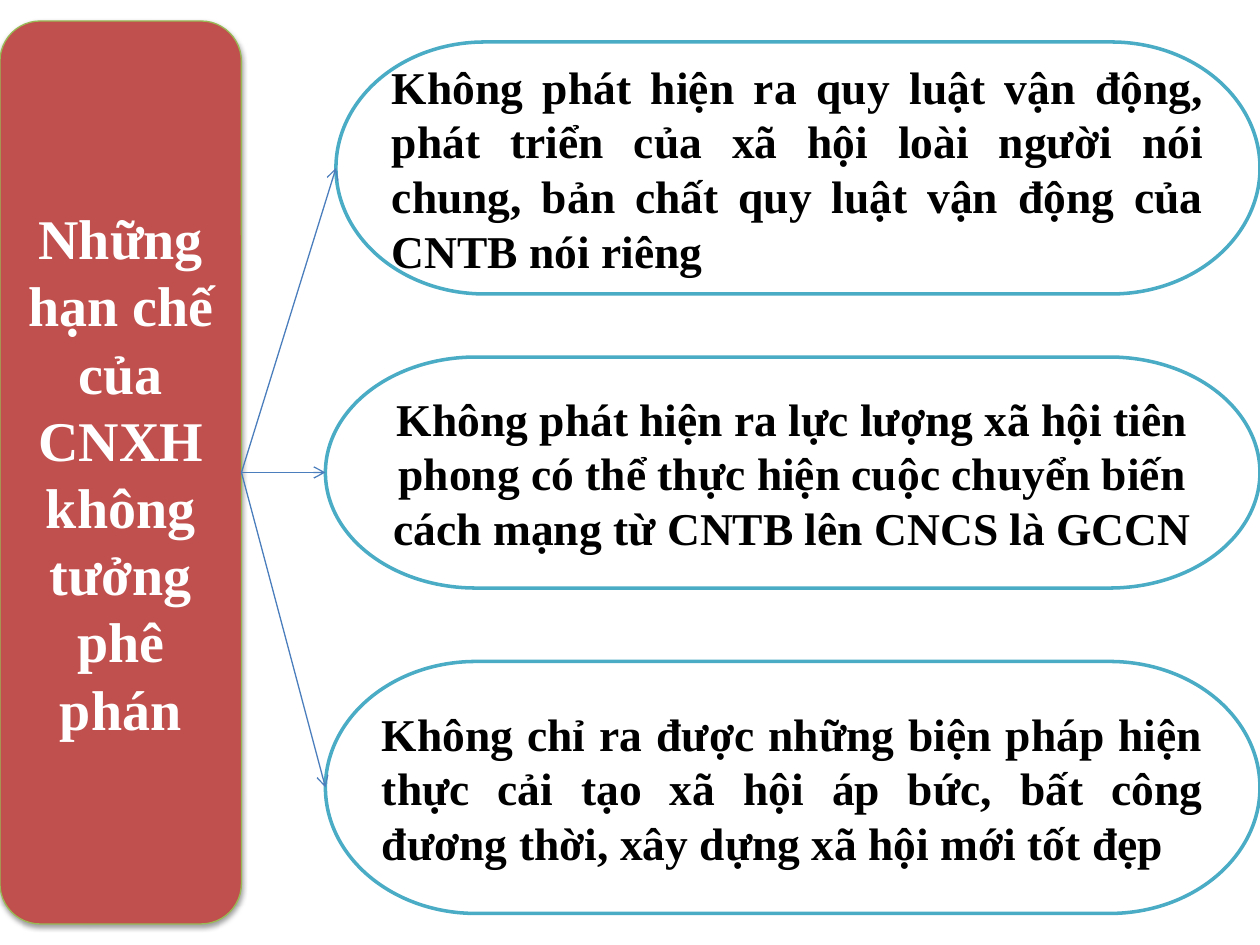
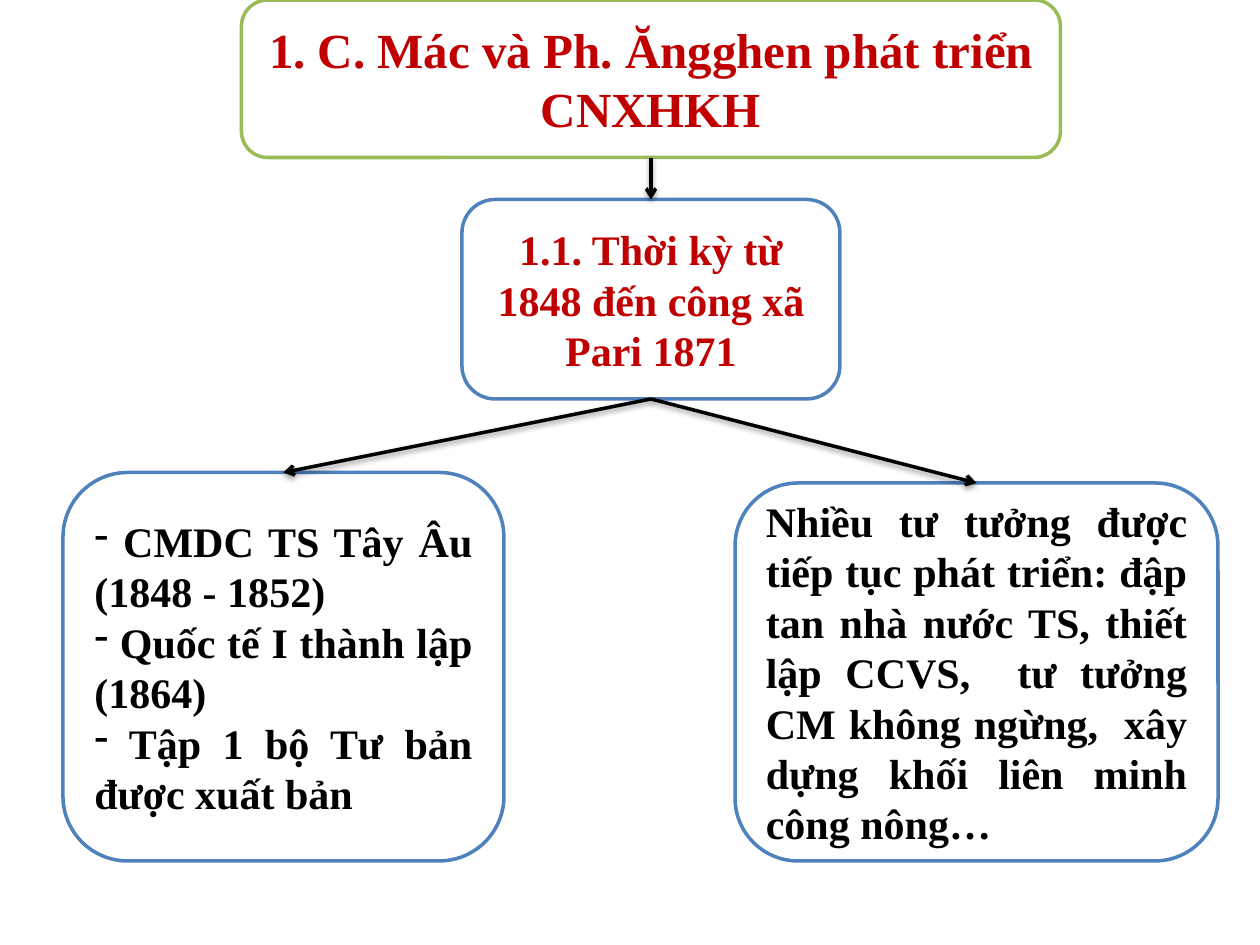
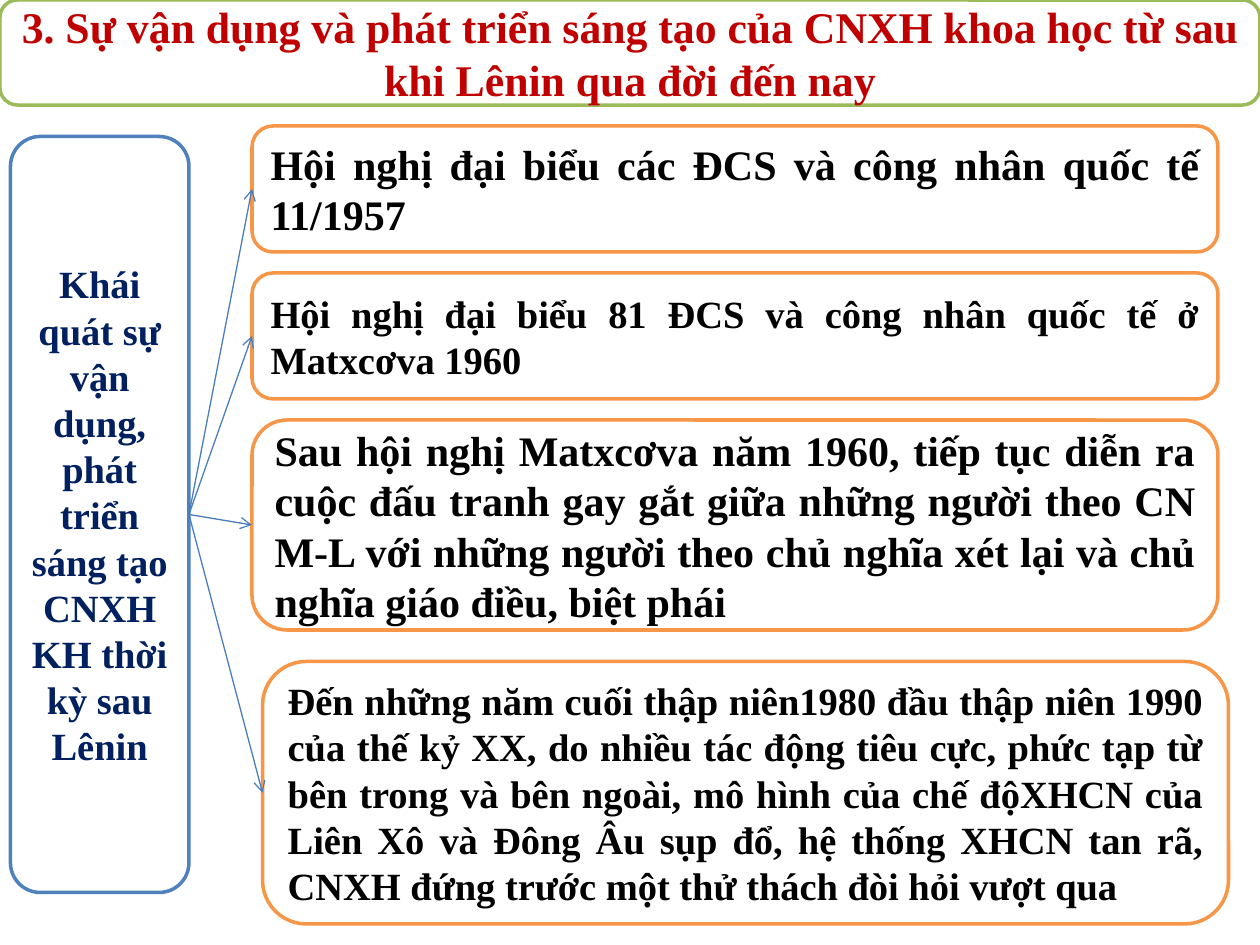
from dataclasses import dataclass
from lxml.etree import SubElement
from pptx import Presentation
from pptx.dml.color import RGBColor
from pptx.enum.shapes import MSO_CONNECTOR, MSO_SHAPE
from pptx.enum.text import MSO_ANCHOR, PP_ALIGN
from pptx.oxml.ns import qn
from pptx.util import Cm, Pt


@dataclass(frozen=True)
class Theme:
    font: str = "Times New Roman"
    white: str = "FFFFFF"
    black: str = "000000"
    brick: str = "C0504D"
    red: str = "C00000"
    navy: str = "002060"
    moss: str = "98B955"
    green: str = "9BBB59"
    blue: str = "4F81BD"
    steel: str = "4B7EBC"
    teal: str = "4BACC6"
    amber: str = "F79646"
    huge: int = 32
    title: int = 28
    large: int = 26
    head: int = 25
    body: int = 24
    small: int = 22
    thick: float = 2
    thin: float = 0.75


look = Theme()
grid = 25.4 / 120
top, left, base, right = range(4)
mid, full = PP_ALIGN.CENTER, PP_ALIGN.JUSTIFY
round_box, pill = MSO_SHAPE.ROUNDED_RECTANGLE, MSO_SHAPE.FLOWCHART_TERMINATOR


def add_box(page, spot, words, size, edge, ink=look.black, align=full,
            kind=round_box, fill=look.white, width=look.thick):
    box = page.shapes.add_shape(kind, *[Cm(n * grid) for n in spot])
    box.shadow.inherit = False
    box.fill.solid()
    box.fill.fore_color.rgb = RGBColor.from_string(fill)
    box.line.color.rgb = RGBColor.from_string(edge)
    box.line.width = Pt(width)
    frame = box.text_frame
    frame.word_wrap = True
    frame.vertical_anchor = MSO_ANCHOR.MIDDLE
    frame.text = words
    for para in frame.paragraphs:
        para.alignment = align
        for run in para.runs:
            run.font.name = look.font
            run.font.size = Pt(size)
            run.font.bold = True
            run.font.color.rgb = RGBColor.from_string(ink)
    return box


def add_link(page, start, side, end, goal, color=look.steel, width=look.thin):
    link = page.shapes.add_connector(MSO_CONNECTOR.STRAIGHT, 0, 0, 0, 0)
    link.begin_connect(start, side)
    link.end_connect(end, goal)
    link.line.color.rgb = RGBColor.from_string(color)
    link.line.width = Pt(width)
    SubElement(link.line._get_or_add_ln(), qn("a:tailEnd"), type="arrow")
    SubElement(link._element.spPr, qn("a:effectLst"))
    return link


deck = Presentation()
deck.slide_width, deck.slide_height = Cm(25.4), Cm(19.05)
blank = deck.slide_layouts[6]
shaded = []

page = deck.slides.add_slide(blank)
limits = add_box(page, (0, 2, 23, 86), "Những hạn chế của CNXH không tưởng phê phán",
                 look.huge, look.moss, look.white, mid, fill=look.brick, width=look.thin)
shaded.append(limits)
for spot, align, words in [
    ((32, 4, 88, 24), full, "Không phát hiện ra quy luật vận động, phát triển của xã hội loài người nói chung, bản chất quy luật vận động của CNTB nói riêng"),
    ((31, 34, 89, 22), mid, "Không phát hiện ra lực lượng xã hội tiên phong có thể thực hiện cuộc chuyển biến cách mạng từ CNTB lên CNCS là GCCN"),
    ((31, 63, 89, 24), full, "Không chỉ ra được những biện pháp hiện thực cải tạo xã hội áp bức, bất công đương thời, xây dựng xã hội mới tốt đẹp"),
]:
    flaw = add_box(page, spot, words, look.large, look.teal, align=align, kind=pill)
    add_link(page, limits, right, flaw, left)

page = deck.slides.add_slide(blank)
title = add_box(page, (23, 0, 78, 15), "1. C. Mác và Ph. Ăngghen phát triển CNXHKH",
                look.title, look.green, look.red, mid)
era = add_box(page, (44, 19, 36, 19), "1.1. Thời kỳ từ 1848 đến công xã Pari 1871",
              look.body, look.blue, look.red, mid)
events = add_box(page, (6, 45, 42, 37),
                 " CMDC TS Tây Âu (1848 - 1852)\n Quốc tế I thành lập (1864)\n Tập 1 bộ Tư bản được xuất bản",
                 look.body, look.blue)
for para in events.text_frame.paragraphs:
    props = para._p.get_or_add_pPr()
    SubElement(props, qn("a:buFontTx"))
    SubElement(props, qn("a:buChar"), char="-")
ideas = add_box(page, (70, 46, 46, 36),
                "Nhiều tư tưởng được tiếp tục phát triển: đập tan nhà nước TS, thiết lập CCVS,  tư tưởng CM không ngừng,  xây dựng khối liên minh công nông…",
                look.body, look.blue)
for start, end in [(title, era), (era, events), (era, ideas)]:
    shaded.append(add_link(page, start, base, end, top, look.black, look.thick))

page = deck.slides.add_slide(blank)
add_box(page, (0, 0, 120, 10),
        "3. Sự vận dụng và phát triển sáng tạo của CNXH khoa học từ sau khi Lênin qua đời đến nay",
        look.head, look.green, look.red, mid)
survey = add_box(page, (1, 13, 17, 72),
                 "Khái quát sự vận dụng, phát triển sáng tạo CNXHKH thời kỳ sau Lênin",
                 look.small, look.blue, look.navy, mid)
for spot, size, words in [
    ((24, 12, 92, 12), look.body, "Hội nghị đại biểu các ĐCS và công nhân quốc tế 11/1957"),
    ((24, 26, 92, 12), look.small, "Hội nghị đại biểu 81 ĐCS và công nhân quốc tế ở Matxcơva 1960"),
    ((24, 40, 92, 20), look.body, "Sau hội nghị Matxcơva năm 1960, tiếp tục diễn ra cuộc đấu tranh gay gắt giữa những người theo CN M-L với những người theo chủ nghĩa xét lại và chủ nghĩa giáo điều, biệt phái"),
    ((25, 63, 92, 25), look.small, "Đến những năm cuối thập niên1980 đầu thập niên 1990 của thế kỷ XX, do nhiều tác động tiêu cực, phức tạp từ bên trong và bên ngoài, mô hình của chế độXHCN của Liên Xô và Đông Âu sụp đổ, hệ thống XHCN tan rã, CNXH đứng trước một thử thách đòi hỏi vượt qua"),
]:
    stage = add_box(page, spot, words, size, look.amber)
    add_link(page, survey, right, stage, left)

for item in shaded:
    effect = item._element.spPr.find(qn("a:effectLst"))
    shade = SubElement(effect, qn("a:outerShdw"), blurRad="40000", dist="20000",
                       dir="5400000", rotWithShape="0")
    tint = SubElement(shade, qn("a:srgbClr"), val=look.black)
    SubElement(tint, qn("a:alpha"), val="38000")

deck.save("out.pptx")
